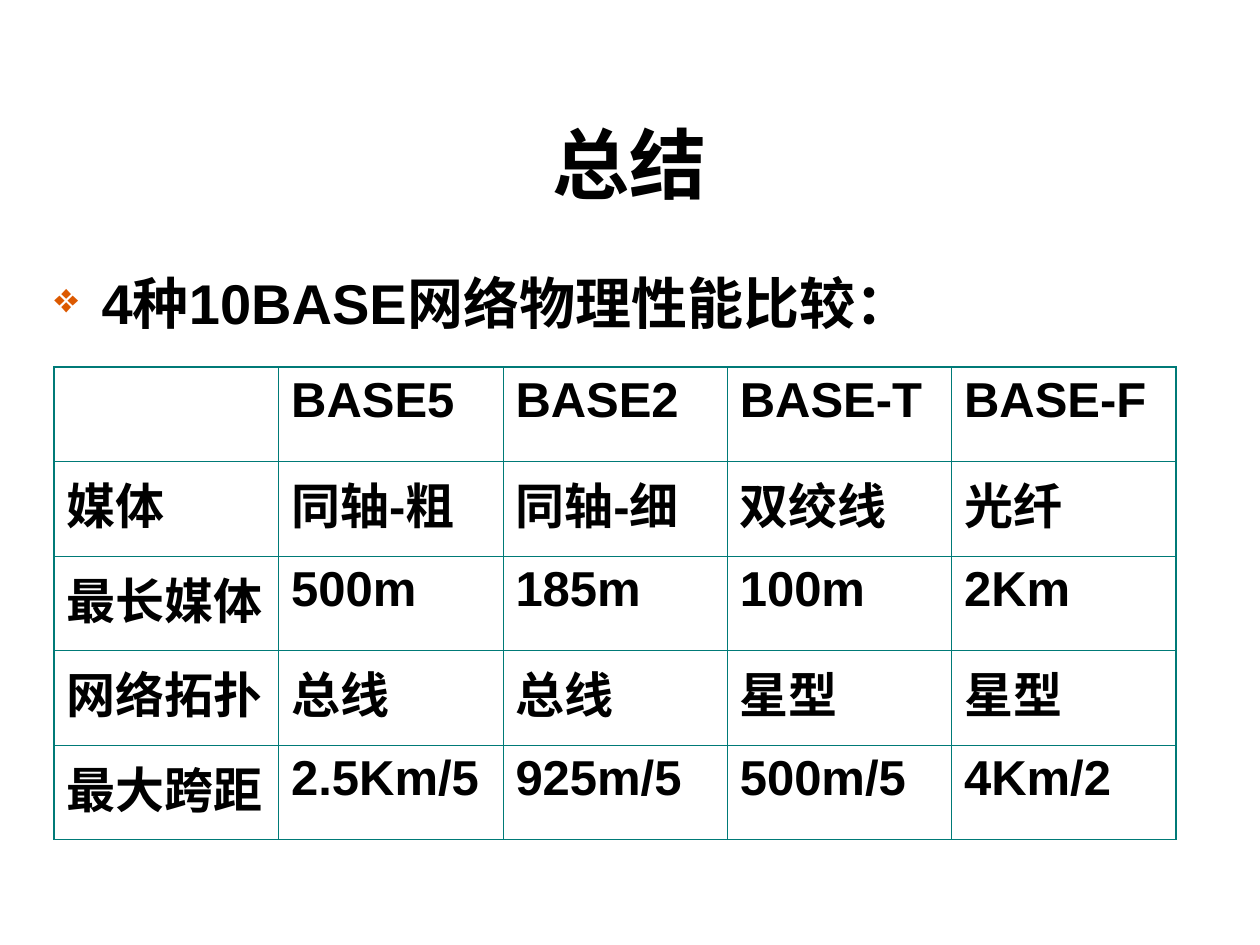
from lxml import etree
from pptx import Presentation
from pptx.dml.color import RGBColor
from pptx.enum import text
from pptx.oxml.ns import qn
from pptx.util import Pt

BLACK = RGBColor(0x00, 0x00, 0x00)
WHITE = RGBColor(0xFF, 0xFF, 0xFF)
TEAL = RGBColor(0x00, 0x7A, 0x77)
ORANGE = RGBColor(0xDC, 0x59, 0x00)

THIN, THICK = 0.45, 1.08
COMPARISON = [
    ["", "BASE5", "BASE2", "BASE-T", "BASE-F"],
    ["媒体", "同轴-粗", "同轴-细", "双绞线", "光纤"],
    ["最长媒体", "500m", "185m", "100m", "2Km"],
    ["网络拓扑", "总线", "总线", "星型", "星型"],
    ["最大跨距", "2.5Km/5", "925m/5", "500m/5", "4Km/2"],
]


def style_font(para, size):
    font = para.font
    font.name = "Arial"
    font.size = Pt(size)
    font.bold = True
    font.color.rgb = BLACK


def add_text_box(page, box, words):
    frame = page.shapes.add_textbox(*map(Pt, box)).text_frame
    frame.word_wrap = True
    frame.text = words
    return frame


def add_title(page, box, words):
    frame = add_text_box(page, box, words)
    frame.vertical_anchor = text.MSO_ANCHOR.MIDDLE
    para = frame.paragraphs[0]
    para.alignment = text.PP_ALIGN.CENTER
    style_font(para, 44)


def add_bullet_line(page, box, words):
    para = add_text_box(page, box, words).paragraphs[0]
    props = para._p.get_or_add_pPr()
    props.set("marL", str(Pt(27)))
    props.set("indent", str(-Pt(27)))
    colour = etree.SubElement(props, qn("a:buClr"))
    etree.SubElement(colour, qn("a:srgbClr"), val=str(ORANGE))
    etree.SubElement(props, qn("a:buSzPct"), val="75000")
    etree.SubElement(props, qn("a:buChar"), char="❖")
    style_font(para, 32)


def set_borders(cell, widths):
    """Draw the cell's edges; widths maps L, R, T and B to points, in that order."""
    props = cell._tc.get_or_add_tcPr()
    for side, width in widths.items():
        line = etree.SubElement(props, qn(f"a:ln{side}"), w=str(Pt(width)))
        fill = etree.SubElement(line, qn("a:solidFill"))
        etree.SubElement(fill, qn("a:srgbClr"), val=str(TEAL))


def add_comparison_table(page, box, rows):
    last_row, last_col = len(rows) - 1, len(rows[0]) - 1
    table = page.shapes.add_table(len(rows), len(rows[0]), *map(Pt, box)).table
    table.first_row = table.horz_banding = False
    for r, row in enumerate(rows):
        for c, words in enumerate(row):
            cell = table.cell(r, c)
            cell.text = words
            style_font(cell.text_frame.paragraphs[0], 28)
            outer = {"L": c == 0, "R": c == last_col, "T": r == 0, "B": r == last_row}
            set_borders(cell, {side: THICK if edge else THIN for side, edge in outer.items()})
            cell.fill.solid()
            cell.fill.fore_color.rgb = WHITE


def main():
    deck = Presentation()
    deck.slide_width, deck.slide_height = Pt(720), Pt(540)
    page = deck.slides.add_slide(deck.slide_layouts[6])
    add_title(page, (24, 48, 672, 90), "总结")
    add_bullet_line(page, (24, 150, 665, 52), "4种10BASE网络物理性能比较：")
    add_comparison_table(page, (31, 209.75, 641, 270), COMPARISON)
    deck.save("out.pptx")


if __name__ == "__main__":
    main()
